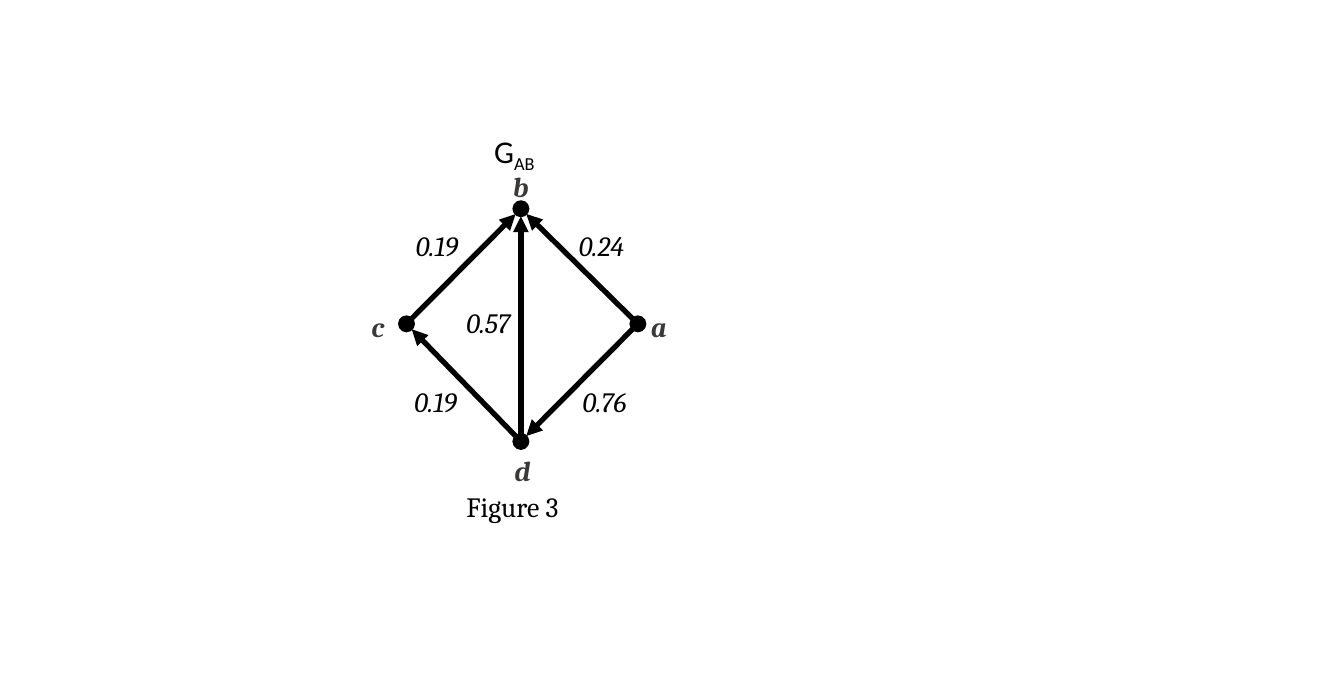
from math import hypot

from lxml.etree import SubElement
from pptx import Presentation
from pptx.dml.color import RGBColor
from pptx.enum.shapes import MSO_CONNECTOR, MSO_SHAPE
from pptx.oxml.ns import qn
from pptx.util import Inches, Pt

BLACK = RGBColor(0x00, 0x00, 0x00)
GREY = RGBColor(0x3B, 0x38, 0x38)
CELL = 0.1  # grid cell in inches
RADIUS = 0.6  # node radius in cells

# Node name: centre of the dot, top-left of its label, label width
NODES = {
    "a": ((50.45, 25.6), (50.5, 24), 3.3),
    "b": ((41.2, 16.5), (39.6, 12.9), 3),
    "c": ((32.15, 25.6), (28.4, 24), 3),
    "d": ((41.2, 34.9), (39.7, 35.4), 3.1),
}
# Start node, end node, weight, top-left of the weight
EDGES = [
    ("a", "d", "0.76", (45.1, 29.9)),
    ("d", "c", "0.19", (31.8, 29.9)),
    ("c", "b", "0.19", (31.9, 17.6)),
    ("a", "b", "0.24", (44.8, 17.6)),
    ("d", "b", "0.57", (35.9, 23.7)),
]


def grid(*cells):
    """Turn grid cells into slide lengths."""
    return [Inches(n * CELL) for n in cells]


def add_run(p, text, font="Cambria", size=15.9, color=BLACK,
            bold=False, italic=False, baseline=None):
    """Add one formatted run to a paragraph."""
    r = p.add_run()
    r.text = text
    r.font.name, r.font.size = font, Pt(size)
    r.font.bold, r.font.italic = bold, italic
    r.font.color.rgb = color
    if baseline is not None:
        r.font._element.set("baseline", str(baseline * 1000))


class GraphSlide:
    """A slide and the style of the directed graph on it."""

    def __init__(self, prs):
        """Add a blank slide to the presentation."""
        self.s = prs.slides.add_slide(prs.slide_layouts[6])
        self.line_width = Pt(3)
        self.outline = Pt(1)

    def label(self, text, at, width, height=3.7, **style):
        """Place a text box and return its paragraph."""
        sp = self.s.shapes.add_textbox(*grid(*at, width, height))
        tf = sp.text_frame
        tf.word_wrap = True
        p = tf.paragraphs[0]
        add_run(p, text, **style)
        return p

    def node(self, centre):
        """Draw a dot around its centre."""
        x, y = centre
        sp = self.s.shapes.add_shape(
            MSO_SHAPE.OVAL,
            *grid(x - RADIUS, y - RADIUS, 2 * RADIUS, 2 * RADIUS))
        sp.shadow.inherit = False
        sp.fill.solid()
        sp.fill.fore_color.rgb = BLACK
        sp.line.color.rgb = BLACK
        sp.line.width = self.outline

    def arrow(self, start, end):
        """Draw an arrow from the rim of one dot to the rim of another."""
        (x1, y1), (x2, y2) = start, end
        length = hypot(x2 - x1, y2 - y1)
        dx, dy = (x2 - x1) / length * RADIUS, (y2 - y1) / length * RADIUS
        sp = self.s.shapes.add_connector(
            MSO_CONNECTOR.STRAIGHT,
            *grid(x1 + dx, y1 + dy, x2 - dx, y2 - dy))
        sp.line.color.rgb = BLACK
        sp.line.width = self.line_width
        SubElement(sp.line._get_or_add_ln(), qn("a:tailEnd"), type="triangle")
        SubElement(sp._element.spPr, qn("a:effectLst"))


def main():
    """Build the weighted graph and save it."""
    prs = Presentation()
    prs.slide_width, prs.slide_height = Inches(10.63), Inches(5.51)
    graph = GraphSlide(prs)

    for start, end, weight, at in EDGES:
        graph.arrow(NODES[start][0], NODES[end][0])
        graph.label(weight, at, 5.9, italic=True)
    for name, (centre, at, width) in NODES.items():
        graph.node(centre)
        graph.label(name, at, width, color=GREY, bold=True, italic=True)

    p = graph.label("G", (38.1, 9.9), 6.9, 4, font="Calibri", size=18)
    add_run(p, "AB", font="Calibri", size=18, baseline=-25)
    graph.label("Figure 3", (35.9, 38.2), 10.1)
    prs.save("out.pptx")


main()
